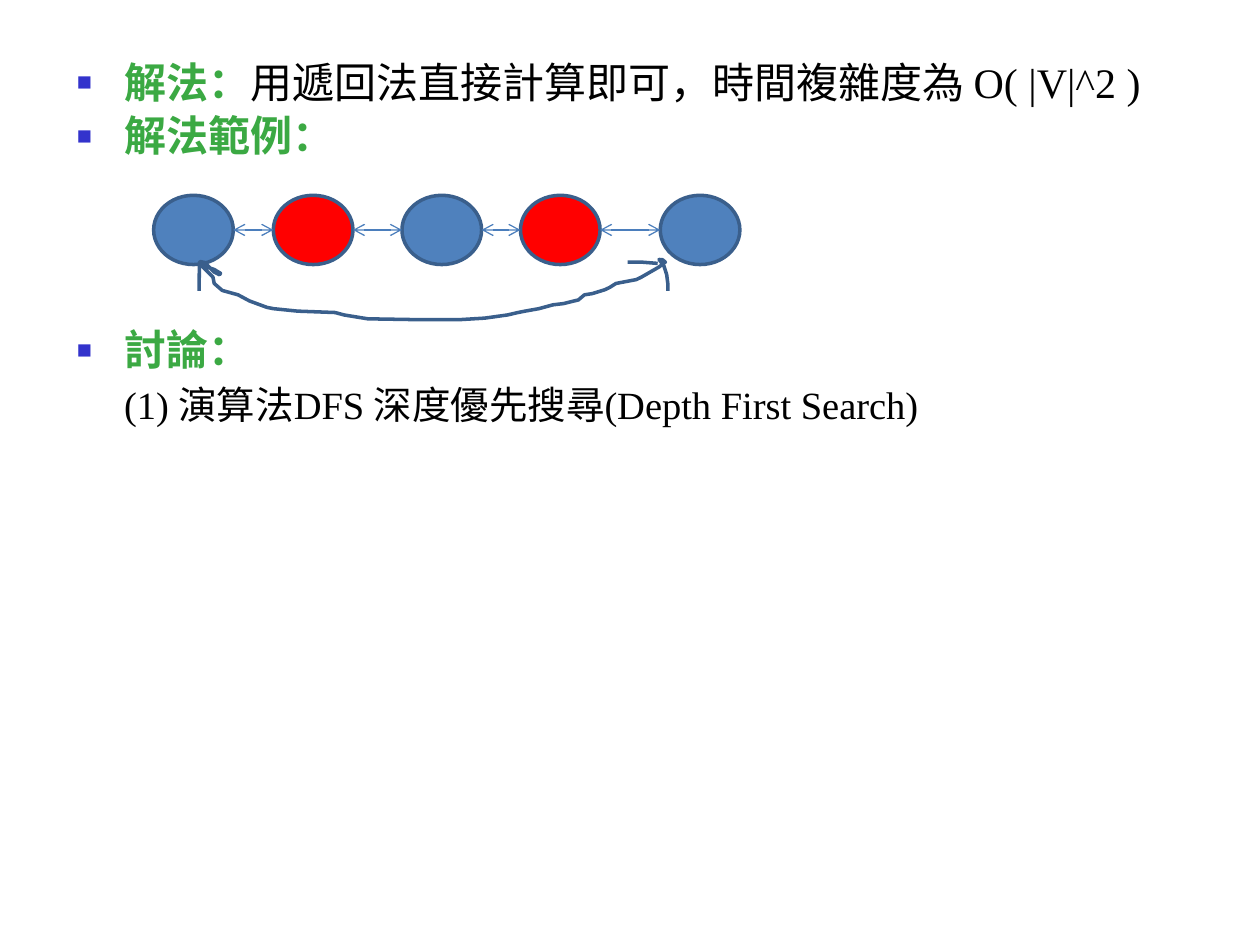
from itertools import pairwise

from lxml.etree import SubElement
from pptx import Presentation
from pptx.dml.color import RGBColor
from pptx.enum.shapes import MSO_CONNECTOR, MSO_SHAPE
from pptx.enum.text import MSO_ANCHOR, MSO_AUTO_SIZE
from pptx.oxml.ns import qn
from pptx.util import Pt

GREEN = RGBColor(0x3B, 0xA9, 0x43)
BLACK = RGBColor(0x00, 0x00, 0x00)
BULLET = RGBColor(0x33, 0x33, 0xCC)
BLUE = RGBColor(0x4F, 0x81, 0xBD)
RED = RGBColor(0xFF, 0x00, 0x00)
OUTLINE = RGBColor(0x3A, 0x5F, 0x8C)
EDGE = RGBColor(0x4B, 0x7E, 0xBC)

FONT = "Times New Roman"
NODE_W, NODE_H, NODE_TOP = 45.5, 39.6, 111.6
NODES = [(87.8, BLUE), (156.2, RED), (229.7, BLUE), (297.4, RED), (377.3, BLUE)]

PARAGRAPHS = [
    (True, 0, [("解法：", 24, GREEN, True),
               ("用遞回法直接計算即可，時間複雜度為 O( |V|^2 )", 24, BLACK, False)]),
    (True, 4.8, [("解法範例：", 24, GREEN, True)]),
    (True, 96.5, [("討論：", 24, GREEN, True)]),
    (False, 6.5, [("(1) 演算法DFS 深度優先搜尋(Depth First Search)", 22, BLACK, False)]),
]

RETURN_EDGE = [
    (113.8, 166.3), (113.9, 150), (115, 149.4), (118, 152.6), (122.4, 154),
    (126, 156.2), (125.5, 157), (122.4, 155.5), (119.5, 152.6), (116.6, 149.8),
    (115.9, 152.6), (121.7, 158.4), (122.4, 162), (127, 166), (136, 168.5),
    (142.6, 172), (152.6, 175.7), (156.2, 176.4), (170, 177.8), (191.5, 178.6),
    (196.6, 180), (210.2, 182.2), (241, 182.7), (262, 182.7), (277, 181.8),
    (290, 180), (296, 178.6), (300, 177.8), (308, 176.4), (316, 174.2),
    (322, 173.5), (330.5, 171.4), (334, 168.5), (338.4, 167.8), (345.6, 165.6),
    (348.5, 164.2), (352, 162), (363.6, 159.8), (366.5, 158.4), (376.6, 152.6),
    (380.2, 149.8), (378.5, 148.4), (376.6, 148.3), (379.4, 152), (381, 157),
    (381.6, 162), (381.6, 166.3),
]
ARROW_BARB = [(375.8, 150.5), (367, 149.8), (358.6, 149.8)]


def set_bullet(p, bulleted):
    """Indent a paragraph and give it a square bullet or none."""
    pPr = p._p.get_or_add_pPr()
    pPr.set("marL", str(Pt(27)))
    pPr.set("indent", str(Pt(-27 if bulleted else 0)))
    if not bulleted:
        SubElement(pPr, qn("a:buNone"))
        return
    clr = SubElement(pPr, qn("a:buClr"))
    SubElement(clr, qn("a:srgbClr"), val=str(BULLET))
    SubElement(pPr, qn("a:buSzPct"), val="60000")
    SubElement(pPr, qn("a:buChar"), char="■")


def fill_body(sp):
    """Place the body placeholder and write its list."""
    sp.left, sp.top, sp.width, sp.height = Pt(36.7), Pt(31.7), Pt(648), Pt(356.4)
    tf = sp.text_frame
    tf.word_wrap = True
    tf.auto_size = MSO_AUTO_SIZE.NONE
    tf.vertical_anchor = MSO_ANCHOR.TOP
    for i, (bulleted, before, runs) in enumerate(PARAGRAPHS):
        p = tf.add_paragraph() if i else tf.paragraphs[0]
        set_bullet(p, bulleted)
        p.line_spacing = 0.9
        p.space_before = Pt(before)
        for text, size, color, bold in runs:
            r = p.add_run()
            r.text = text
            r.font.name = FONT
            r.font.size = Pt(size)
            r.font.bold = bold
            r.font.color.rgb = color


def add_node(s, left, color):
    """Draw one graph node."""
    sp = s.shapes.add_shape(MSO_SHAPE.OVAL, Pt(left), Pt(NODE_TOP), Pt(NODE_W), Pt(NODE_H))
    sp.shadow.inherit = False
    sp.fill.solid()
    sp.fill.fore_color.rgb = color
    sp.line.color.rgb = OUTLINE
    sp.line.width = Pt(2)


def add_edge(s, x1, x2):
    """Draw a two-way edge between neighbouring nodes."""
    y = Pt(NODE_TOP + NODE_H / 2)
    sp = s.shapes.add_connector(MSO_CONNECTOR.STRAIGHT, Pt(x1), y, Pt(x2), y)
    sp.line.color.rgb = EDGE
    sp.line.width = Pt(0.75)
    ln = sp.line._get_or_add_ln()
    for tag in ("a:headEnd", "a:tailEnd"):
        SubElement(ln, qn(tag), type="arrow")
    SubElement(sp._element.spPr, qn("a:effectLst"))


def add_stroke(s, points):
    """Draw an open freehand stroke."""
    start, *rest = [(Pt(x), Pt(y)) for x, y in points]
    fb = s.shapes.build_freeform(*start)
    fb.add_line_segments(rest, close=False)
    sp = fb.convert_to_shape()
    sp.shadow.inherit = False
    sp.fill.background()
    sp.line.color.rgb = OUTLINE
    sp.line.width = Pt(2)
    SubElement(sp.line._get_or_add_ln(), qn("a:round"))


def main():
    """Build the slide."""
    prs = Presentation()
    prs.slide_width, prs.slide_height = Pt(720), Pt(540)
    s = prs.slides.add_slide(prs.slide_layouts[1])
    title = s.shapes.title._element
    title.getparent().remove(title)
    fill_body(s.placeholders[1])
    for left, color in NODES:
        add_node(s, left, color)
    for (a, _), (b, _) in pairwise(NODES):
        add_edge(s, a + NODE_W, b)
    for points in (RETURN_EDGE, ARROW_BARB):
        add_stroke(s, points)
    prs.save("out.pptx")


if __name__ == "__main__":
    main()
